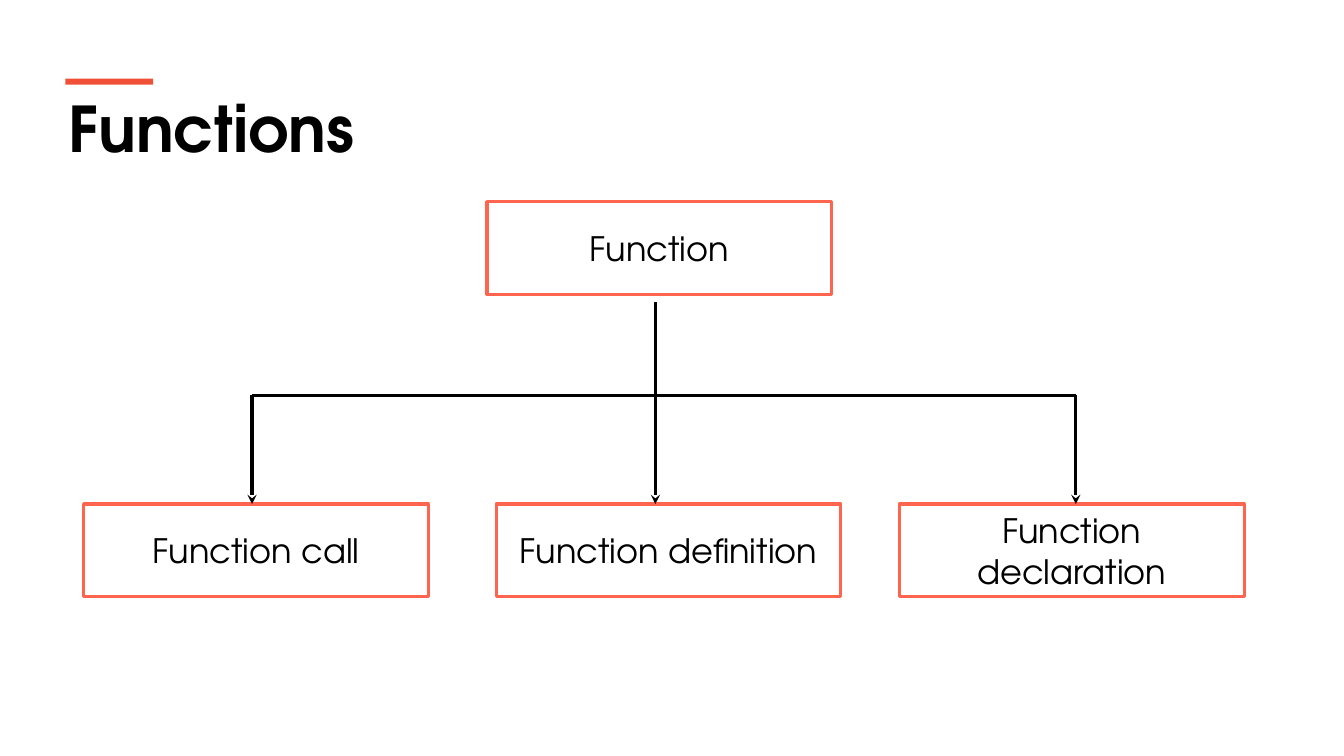
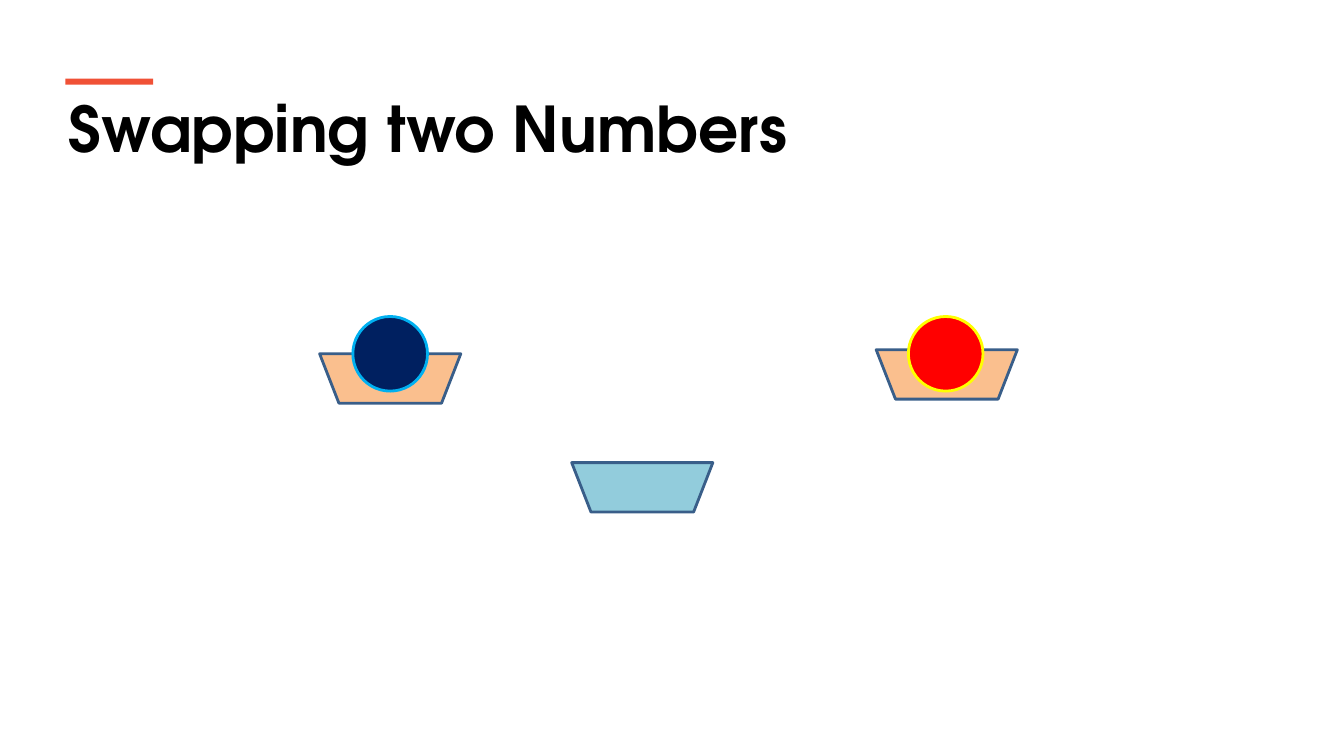
"""Builds two slides: the parts of a function, and swapping two numbers."""
from dataclasses import dataclass

from lxml import etree
from pptx import Presentation
from pptx import util as u
from pptx.dml.color import RGBColor
from pptx.enum import shapes, text
from pptx.oxml import ns


@dataclass(frozen=True)
class Theme:
    font: str = "TeX Gyre Adventor"
    ink: str = "000000"
    accent: str = "F05136"
    box_line: str = "FF644E"
    bowl: str = "FABF8E"
    spare_bowl: str = "92CCDC"
    bowl_line: str = "395E89"
    blue_ball: str = "002060"
    blue_rim: str = "00B0F0"
    red_ball: str = "FF0000"
    red_rim: str = "FFFF00"
    title_size: float = 45
    label_size: float = 24
    diagram_line: float = 2.25
    bowl_width: float = 2


theme = Theme()


def write(shape, words, size=theme.label_size, bold=False,
          align=text.PP_ALIGN.CENTER, anchor=text.MSO_ANCHOR.MIDDLE):
    frame = shape.text_frame
    frame.word_wrap = True
    frame.auto_size = text.MSO_AUTO_SIZE.NONE
    frame.vertical_anchor = anchor
    paragraph = frame.paragraphs[0]
    paragraph.alignment = align
    run = paragraph.add_run()
    run.text = words
    run.font.name = theme.font
    run.font.size = u.Pt(size)
    run.font.bold = bold
    run.font.color.rgb = RGBColor.from_string(theme.ink)


def draw(slide, kind, place, fill=None, line=None, weight=theme.diagram_line):
    shape = slide.shapes.add_shape(kind, *map(u.Inches, place))
    shape.shadow.inherit = False
    if fill:
        shape.fill.solid()
        shape.fill.fore_color.rgb = RGBColor.from_string(fill)
    else:
        shape.fill.background()
    if line:
        shape.line.color.rgb = RGBColor.from_string(line)
        shape.line.width = u.Pt(weight)
    else:
        shape.line.fill.background()
    return shape


deck = Presentation()
deck.slide_width = u.Inches(13.33)
deck.slide_height = u.Inches(7.5)
title_only = deck.slide_layouts[5]
heading = title_only.placeholders[0]
heading.left, heading.top, heading.width, heading.height = map(
    u.Inches, (0.58, 0.84, 12.18, 0.86))

for name in ("Functions", "Swapping two Numbers"):
    slide = deck.slides.add_slide(title_only)
    write(slide.shapes.title, name, size=theme.title_size, bold=True,
          align=text.PP_ALIGN.LEFT, anchor=text.MSO_ANCHOR.TOP)
    draw(slide, shapes.MSO_SHAPE.RECTANGLE, (0.65, 0.78, 0.87, 0.06), fill=theme.accent)

functions, swapping = deck.slides

box_width, box_height = 3.42, 0.92
root_top, stem_top, branch_y, leaf_top = 2, 3, 3.92, 5
boxes = (
    ("Function", 4.83, root_top),
    ("Function call", 0.83, leaf_top),
    ("Function definition", 4.92, leaf_top),
    ("Function declaration", 8.92, leaf_top),
)
for label, left, top in boxes:
    box = draw(functions, shapes.MSO_SHAPE.RECTANGLE,
               (left, top, box_width, box_height), line=theme.box_line)
    write(box, label)

call_x, definition_x, declaration_x = 2.5, 6.5, 10.67
branches = [
    (definition_x, stem_top, definition_x, branch_y, False),
    (call_x, branch_y, declaration_x, branch_y, False),
]
branches += [(x, branch_y, x, leaf_top, True)
             for x in (call_x, definition_x, declaration_x)]
for *ends, arrow in branches:
    branch = functions.shapes.add_connector(
        shapes.MSO_CONNECTOR.STRAIGHT, *map(u.Inches, ends))
    branch.line.color.rgb = RGBColor.from_string(theme.ink)
    branch.line.width = u.Pt(theme.diagram_line)
    if arrow:
        etree.SubElement(branch.line._get_or_add_ln(), ns.qn("a:tailEnd"), type="stealth")
    etree.SubElement(branch._element.spPr, ns.qn("a:effectLst"))

for left, top, colour in ((3.17, 3.51, theme.bowl),
                          (8.69, 3.47, theme.bowl),
                          (5.67, 4.59, theme.spare_bowl)):
    bowl = draw(swapping, shapes.MSO_SHAPE.TRAPEZOID, (left, top, 1.4, 0.49),
                fill=colour, line=theme.bowl_line, weight=theme.bowl_width)
    bowl.adjustments[0] = 0.39
    bowl.rotation = 180

for left, colour, rim in ((3.5, theme.blue_ball, theme.blue_rim),
                          (9.01, theme.red_ball, theme.red_rim)):
    draw(swapping, shapes.MSO_SHAPE.OVAL, (left, 3.14, 0.74, 0.74),
         fill=colour, line=rim, weight=theme.bowl_width)

deck.save("out.pptx")
